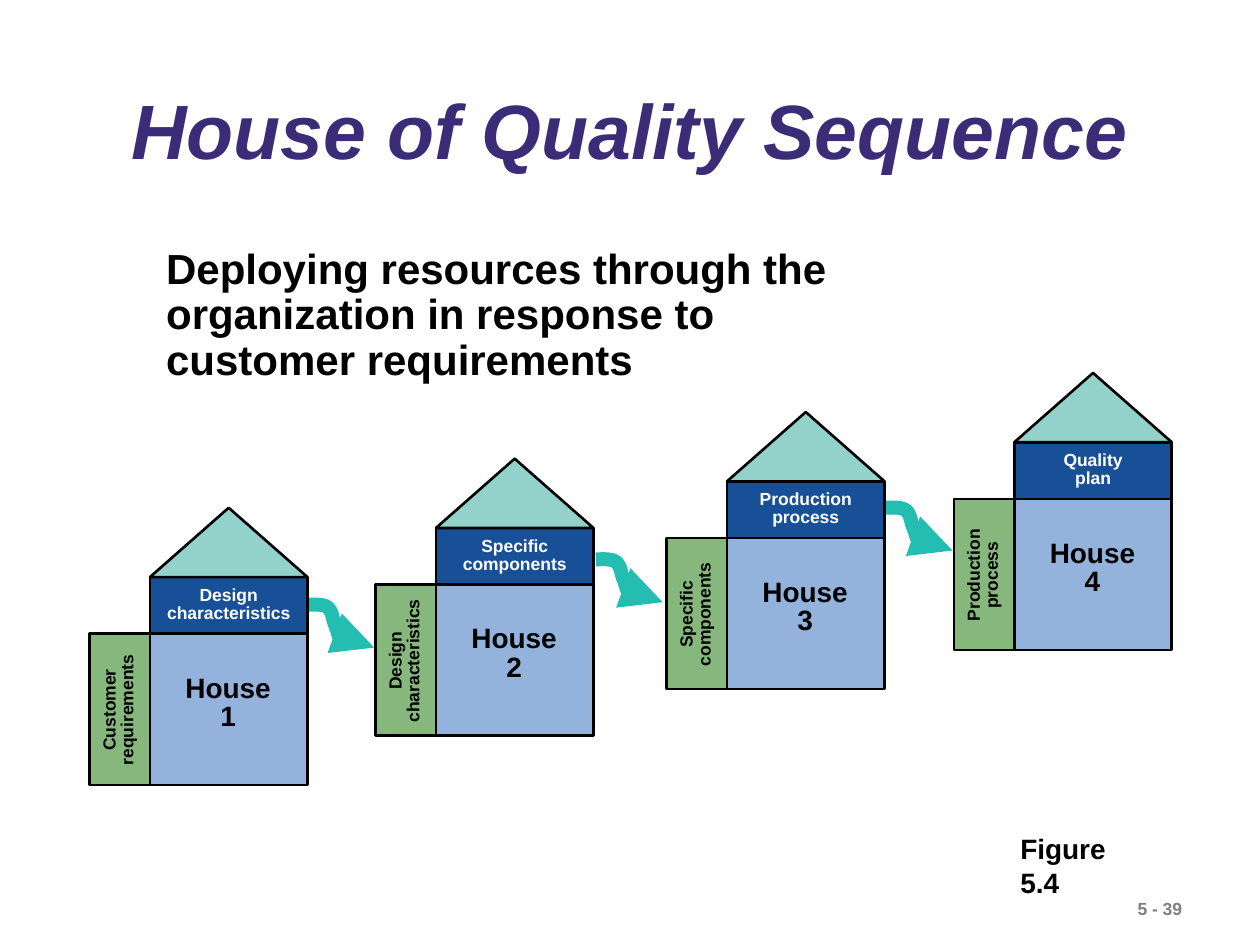
import lxml.etree
import pptx
import pptx.dml.color
import pptx.enum.shapes
import pptx.enum.text
import pptx.oxml.ns
import pptx.util

Inches = pptx.util.Inches
Align = pptx.enum.text.PP_ALIGN
Shape = pptx.enum.shapes.MSO_SHAPE


def color(value):
    return pptx.dml.color.RGBColor.from_string(value)


def add_text(shapes, text, box, size, hex_color="000000", align=Align.LEFT, spacing=1.0, wrap=True):
    shape = shapes.add_textbox(*[Inches(length) for length in box])
    frame = shape.text_frame
    frame.text = text
    frame.word_wrap = wrap
    frame.auto_size = pptx.enum.text.MSO_AUTO_SIZE.SHAPE_TO_FIT_TEXT
    paragraph = frame.paragraphs[0]
    paragraph.alignment = align
    paragraph.line_spacing = spacing
    font = paragraph.runs[0].font
    font.name = "Arial"
    font.size = pptx.util.Pt(size)
    font.bold = True
    font.color.rgb = color(hex_color)
    return shape


presentation = pptx.Presentation()
presentation.slide_width = Inches(10)
presentation.slide_height = Inches(7.5)
slide = presentation.slides.add_slide(presentation.slide_layouts[6])

add_text(slide.shapes, "5 - 39", (8.93, 7.08, 1.07, 0.27), 10, "7F7F7F")
title = add_text(slide.shapes, "House of Quality Sequence", (0.38, 0.57, 9.24, 1), 44, "3A2C76", Align.CENTER, 0.9)
title.text_frame.auto_size = pptx.enum.text.MSO_AUTO_SIZE.NONE
title.text_frame.vertical_anchor = pptx.enum.text.MSO_ANCHOR.MIDDLE
title.text_frame.paragraphs[0].runs[0].font.italic = True
add_text(slide.shapes, "Figure 5.4", (8, 6.55, 1.24, 0.37), 16, wrap=False)
add_text(slide.shapes, "Deploying resources through the organization in response to customer requirements",
         (1.22, 1.92, 5.45, 1.18), 24, spacing=0.9)

body_width, body_height = 1.25, 1.2
side_width, band_height, roof_height = 0.48, 0.45, 0.55
labels = ["Customer requirements", "Design characteristics", "Specific components",
          "Production process", "Quality plan"]
band_text_widths = [1.23, 1.03, 1.03, 0.79]
house_corners = [(1.19, 5.03), (3.46, 4.64), (5.77, 4.27), (8.05, 3.96)]
arrow_starts = [None, (2.44, 4.8), (4.73, 4.44), (7.03, 4.03)]
arrow_curve = [(0, 0), (0.02, 0), (0.12, -0.01), (0.16, 0.02), (0.2, 0.05), (0.2, 0.12),
               (0.22, 0.16), (0.24, 0.21), (0.25, 0.27), (0.28, 0.3), (0.32, 0.33),
               (0.38, 0.34), (0.43, 0.35), (0.47, 0.36), (0.51, 0.34), (0.53, 0.34)]
curve_steps = 8

for index in reversed(range(len(house_corners))):
    left, top = house_corners[index]
    middle = left + body_width / 2
    band_top = top - band_height
    house = slide.shapes.add_group_shape()
    parts = [
        (Shape.RECTANGLE, left, top, body_width, body_height, "93B3DD"),
        (Shape.RECTANGLE, left - side_width, top, side_width, body_height, "86B87D"),
        (Shape.RECTANGLE, left, band_top, body_width, band_height, "175097"),
        (Shape.ISOSCELES_TRIANGLE, left, band_top - roof_height, body_width, roof_height, "92D2CA"),
    ]
    for kind, x, y, width, height, fill in parts:
        shape = house.shapes.add_shape(kind, Inches(x), Inches(y), Inches(width), Inches(height))
        shape.shadow.inherit = False
        shape.fill.solid()
        shape.fill.fore_color.rgb = color(fill)
        shape.line.color.rgb = color("000000")
        shape.line.width = pptx.util.Pt(1.5)

    side_box = (left - side_width / 2 - 0.6, top + 0.41, 1.2, 0.39)
    side_text = add_text(house.shapes, labels[index], side_box, 10, align=Align.CENTER, spacing=0.85)
    side_text.rotation = 270
    band_text_width = band_text_widths[index]
    band_box = (middle - band_text_width / 2, band_top + 0.03, band_text_width, 0.39)
    add_text(house.shapes, labels[index + 1], band_box, 10, "FFFFFF", Align.CENTER, 0.85)
    add_text(house.shapes, f"House {index + 1}", (middle - 0.5, top + 0.28, 0.99, 0.56), 16,
             align=Align.CENTER, spacing=0.85)

    if arrow_starts[index]:
        start_x, start_y = arrow_starts[index]
        points = []
        for first in range(0, len(arrow_curve) - 1, 3):
            controls = arrow_curve[first:first + 4]
            for step in range(1, curve_steps + 1):
                t = step / curve_steps
                weights = [(1 - t) ** 3, 3 * t * (1 - t) ** 2, 3 * t ** 2 * (1 - t), t ** 3]
                x = start_x + sum(w * control[0] for w, control in zip(weights, controls))
                y = start_y + sum(w * control[1] for w, control in zip(weights, controls))
                points.append((Inches(x), Inches(y)))
        builder = house.shapes.build_freeform(Inches(start_x), Inches(start_y))
        builder.add_line_segments(points, close=False)
        arrow = builder.convert_to_shape()
        arrow.shadow.inherit = False
        arrow.fill.background()
        arrow.line.color.rgb = color("24BDB2")
        arrow.line.width = pptx.util.Pt(8)
        line = arrow.line.fill._xPr
        lxml.etree.SubElement(line, pptx.oxml.ns.qn("a:round"))
        lxml.etree.SubElement(line, pptx.oxml.ns.qn("a:tailEnd"), type="triangle")

presentation.save("out.pptx")
